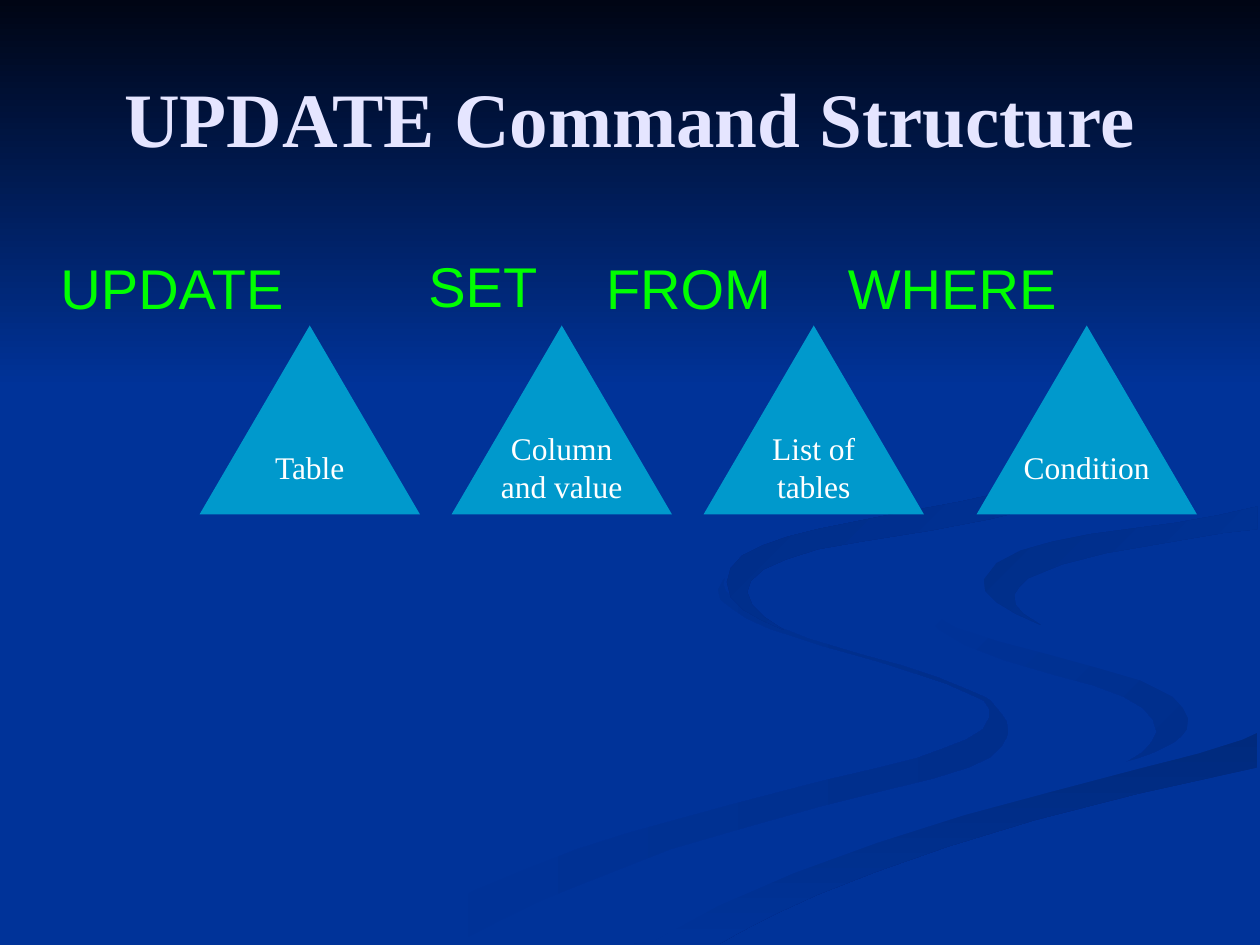
import pptx
import pptx.dml.color
import pptx.enum.shapes
import pptx.enum.text
import pptx.util

WIDTH = pptx.util.Inches(10)
HEIGHT = pptx.util.Inches(7.5)
UNIT = WIDTH // 1000
BLUE = "003399"
TRIANGLE_TOP, TRIANGLE_WIDTH, TRIANGLE_HEIGHT = 258.33, 175, 150

LONG_RIBBON = [
    (781, 553), (767, 547), (745, 538), (715, 528), (682, 519), (642, 507),
    (614, 496), (594, 485), (583, 477), (576, 469), (574, 464), (575, 459),
    (570, 468), (572, 476), (581, 483), (593, 491), (611, 499), (654, 513),
    (697, 525), (728, 535), (752, 543), (770, 551), (781, 556), (785, 562),
    (785, 570), (780, 579), (767, 587), (749, 594), (727, 602), (699, 609),
    (652, 620), (579, 639), (499, 661), (458, 674), (417, 690), (376, 707),
    (338, 727), (300, 749), (361, 749), (396, 731), (431, 714), (466, 700),
    (532, 674), (594, 656), (651, 640), (699, 628), (740, 618), (769, 609),
    (786, 601), (795, 592), (799, 585), (800, 581), (799, 573), (795, 567),
    (786, 556)]
SHORT_RIBBON = [
    (943, 570), (939, 562), (930, 553), (919, 547), (905, 540), (870, 530),
    (830, 519), (792, 509), (758, 498), (733, 483), (727, 474), (724, 464),
    (725, 474), (733, 488), (746, 500), (766, 512), (797, 524), (838, 536),
    (868, 544), (892, 553), (907, 562), (915, 571), (918, 581), (914, 589),
    (907, 597), (894, 605), (916, 597), (932, 589), (941, 581), (943, 576)]
LOWER_BAND = [
    (519, 747), (503, 749), (571, 749), (587, 740), (614, 726), (649, 710),
    (695, 692), (752, 672), (821, 651), (903, 630), (998, 609), (998, 581),
    (985, 587), (963, 594), (936, 602), (903, 610), (831, 629), (764, 647),
    (696, 669), (630, 693), (569, 719), (543, 733)]
WIDE_BAND = [
    (725, 464), (728, 474), (734, 483), (759, 498), (793, 509), (831, 519),
    (871, 530), (905, 540), (931, 553), (939, 562), (943, 570), (942, 579),
    (936, 587), (926, 593), (911, 600), (892, 605), (843, 618), (780, 634),
    (704, 655), (619, 684), (573, 703), (526, 724), (477, 749), (503, 749),
    (519, 747), (570, 719), (630, 693), (696, 669), (765, 647), (832, 629),
    (904, 610), (951, 598), (986, 587), (999, 581), (999, 538), (974, 534),
    (941, 527), (904, 519), (866, 509), (832, 498), (804, 485), (786, 473),
    (781, 463), (786, 453), (800, 442), (822, 434), (850, 427), (899, 418),
    (968, 409), (999, 402), (999, 387), (962, 395), (920, 401), (851, 411),
    (788, 422), (755, 432), (732, 446), (727, 454)]
RIGHT_RIBBON = [
    (781, 460), (782, 469), (791, 478), (806, 487), (826, 496), (812, 487),
    (806, 480), (805, 472), (809, 466), (816, 459), (843, 448), (878, 439),
    (936, 429), (971, 423), (998, 420), (998, 402), (967, 409), (933, 415),
    (865, 424), (835, 430), (810, 437), (791, 447)]
UPPER_RIBBON = [
    (683, 430), (739, 421), (786, 412), (825, 402), (855, 391), (876, 378),
    (889, 362), (894, 344), (890, 324), (880, 307), (864, 291), (843, 275),
    (821, 261), (799, 250), (780, 241), (762, 233), (805, 254), (846, 279),
    (862, 292), (876, 306), (885, 320), (889, 335), (886, 348), (876, 360),
    (861, 370), (842, 378), (818, 386), (763, 398), (704, 409), (649, 420),
    (625, 426), (605, 433), (589, 441), (580, 451), (577, 462), (580, 474),
    (590, 484), (604, 492), (622, 500), (607, 490), (597, 480), (593, 470),
    (596, 461), (606, 452), (624, 444), (649, 436)]
TOP_SHADE = [(0, 0), (0, 308), (1000, 308), (1000, 0)]

BACKDROP = [
    (LONG_RIBBON, BLUE, "002E8B", 0),
    (SHORT_RIBBON, BLUE, "002E8B", 45),
    (LOWER_BAND, "002A7D", BLUE, 90),
    (WIDE_BAND, BLUE, None, 0),
    (RIGHT_RIBBON, "002D86", BLUE, 45),
    (UPPER_RIBBON, "002B82", BLUE, 45),
    (TOP_SHADE, "000514", BLUE, 90)]

CLAUSES = [
    ("UPDATE", 48, 201, 185, "Table", 158.33),
    ("SET", 340, 200, 185, "Column\nand value", 358.33),
    ("FROM", 481, 201, 135, "List of\ntables", 558.33),
    ("WHERE", 673, 201, 170, "Condition", 775)]


def colour(code):
    return pptx.dml.color.RGBColor.from_string(code)


def paint(fill, code):
    fill.solid()
    fill.fore_color.rgb = colour(code)


def write(frame, text, size, font, code, bold=False, centred=True):
    frame.text = text
    for para in frame.paragraphs:
        if centred:
            para.alignment = pptx.enum.text.PP_ALIGN.CENTER
        for span in para.runs:
            span.font.size = pptx.util.Pt(size)
            span.font.name = font
            span.font.bold = bold
            span.font.color.rgb = colour(code)


def add_ribbon(page, points, start, end, angle):
    builder = page.shapes.build_freeform(*points[0], scale=UNIT)
    builder.add_line_segments(points[1:], close=True)
    ribbon = builder.convert_to_shape()
    ribbon.shadow.inherit = False
    ribbon.line.fill.background()
    if end is None:
        paint(ribbon.fill, start)
        return
    ribbon.fill.gradient()
    ribbon.fill.gradient_angle = (360 - angle) % 360
    for stop, code in zip(ribbon.fill.gradient_stops, (start, end)):
        stop.color.rgb = colour(code)


def add_title(page, text):
    box = page.shapes.add_textbox(
        WIDTH * 0.05, HEIGHT * 0.04, WIDTH * 0.9, 125 * UNIT)
    frame = box.text_frame
    frame.word_wrap = True
    frame.vertical_anchor = pptx.enum.text.MSO_ANCHOR.MIDDLE
    write(frame, text, 44, "Times New Roman", "E5E5FF", bold=True)


def add_keyword(page, text, left, top, width):
    box = page.shapes.add_textbox(
        left * UNIT, top * UNIT, width * UNIT, 37 * UNIT)
    frame = box.text_frame
    frame.word_wrap = False
    frame.margin_left = frame.margin_right = 0
    frame.margin_top = frame.margin_bottom = 0
    write(frame, text, 32, "Arial", "00FF00", centred=False)


def add_triangle(page, text, left):
    triangle = page.shapes.add_shape(
        pptx.enum.shapes.MSO_SHAPE.ISOSCELES_TRIANGLE,
        int(left * UNIT), int(TRIANGLE_TOP * UNIT),
        TRIANGLE_WIDTH * UNIT, TRIANGLE_HEIGHT * UNIT)
    triangle.shadow.inherit = False
    triangle.line.fill.background()
    paint(triangle.fill, "0099CC")
    frame = triangle.text_frame
    frame.word_wrap = False
    frame.vertical_anchor = pptx.enum.text.MSO_ANCHOR.MIDDLE
    write(frame, text, 18, "Times New Roman", "FFFFFF")


def main():
    deck = pptx.Presentation()
    deck.slide_width, deck.slide_height = WIDTH, HEIGHT
    page = deck.slides.add_slide(deck.slide_layouts[6])
    paint(page.background.fill, BLUE)
    for points, start, end, angle in BACKDROP:
        add_ribbon(page, points, start, end, angle)
    add_title(page, "UPDATE Command Structure")
    for keyword, left, top, width, operand, triangle_left in CLAUSES:
        add_keyword(page, keyword, left, top, width)
        add_triangle(page, operand, triangle_left)
    deck.save("out.pptx")


if __name__ == "__main__":
    main()
